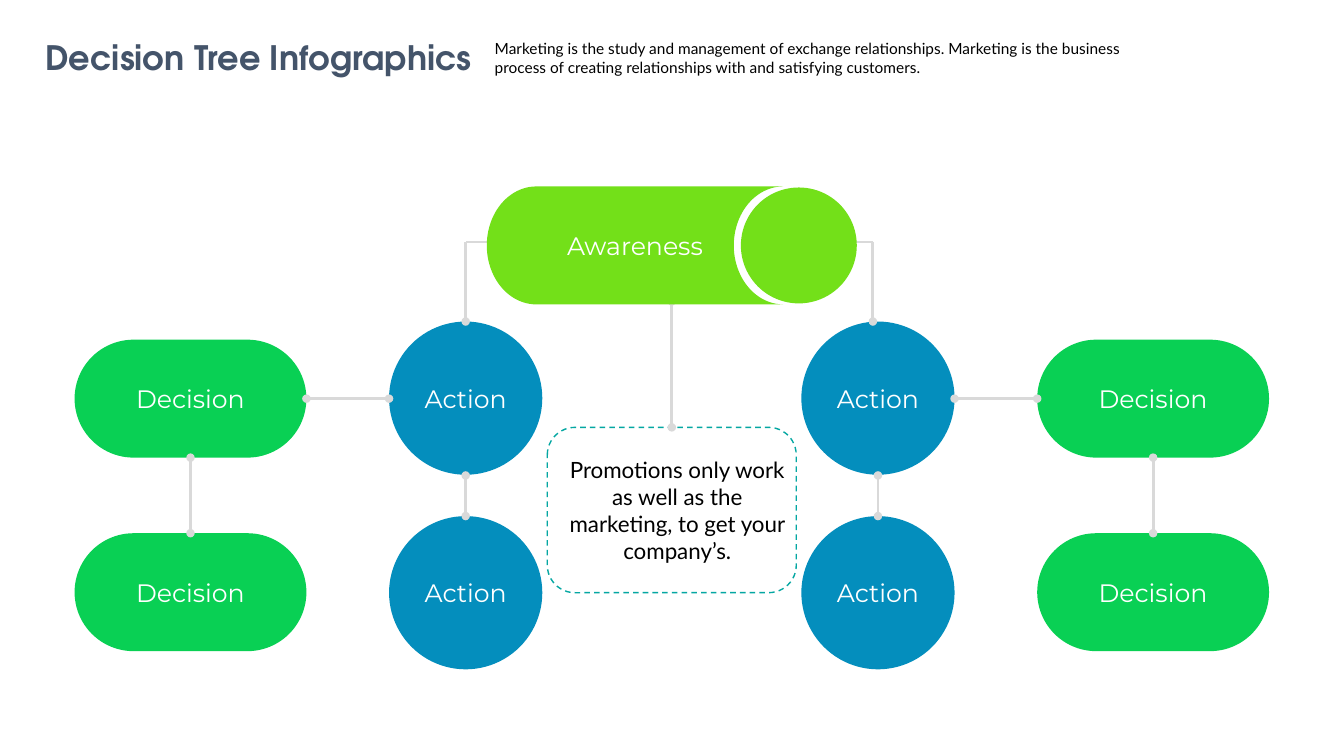
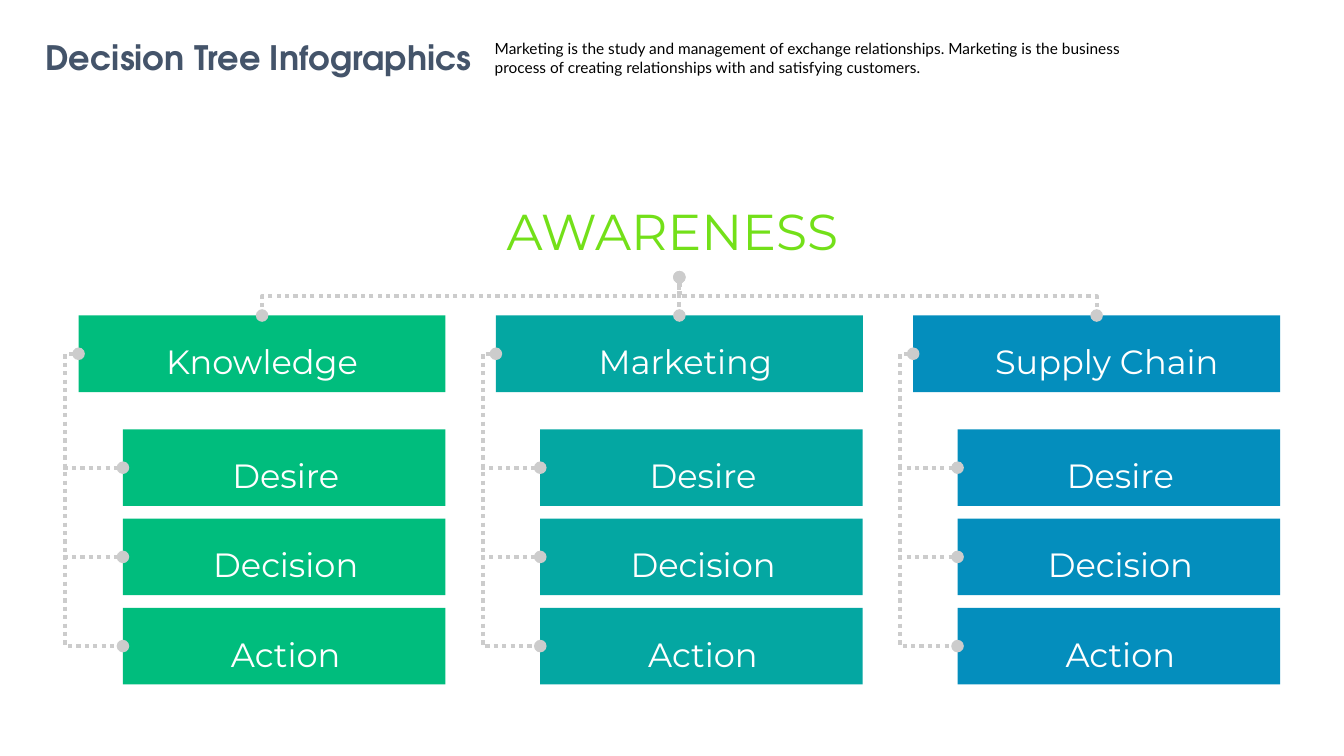
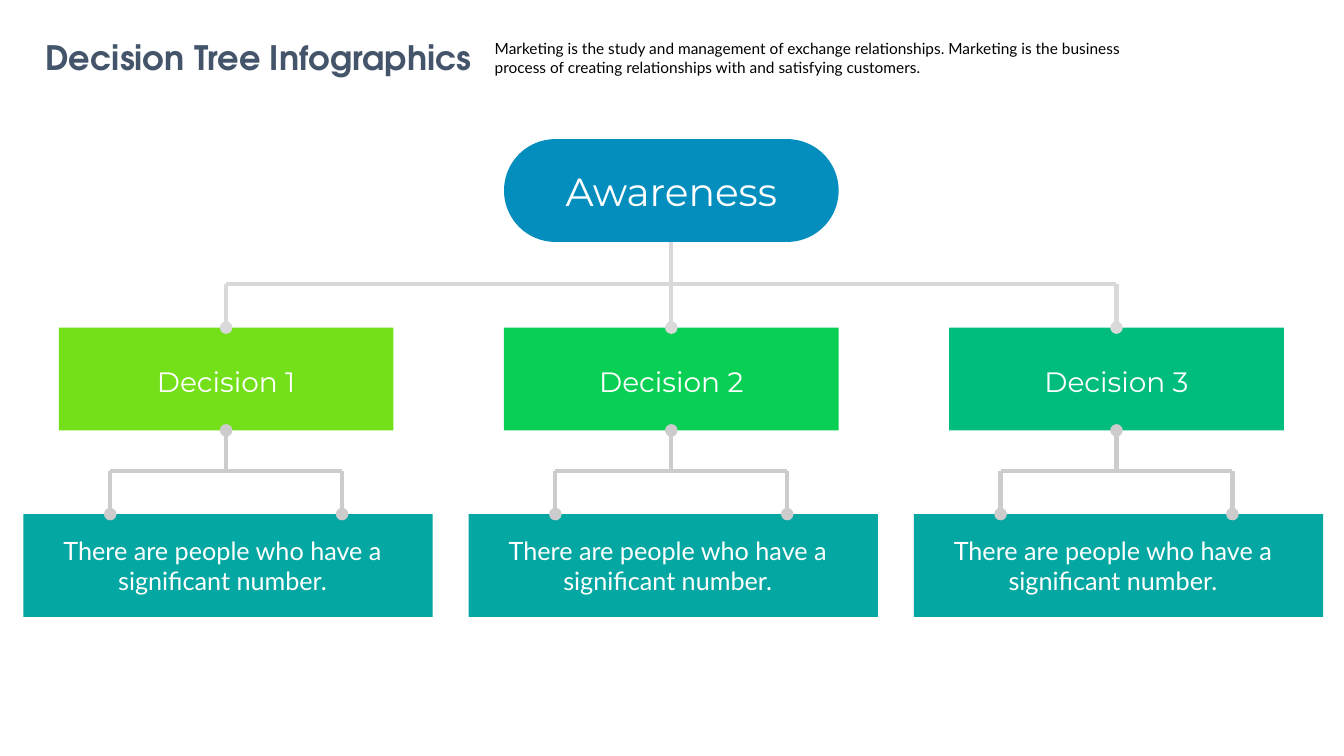
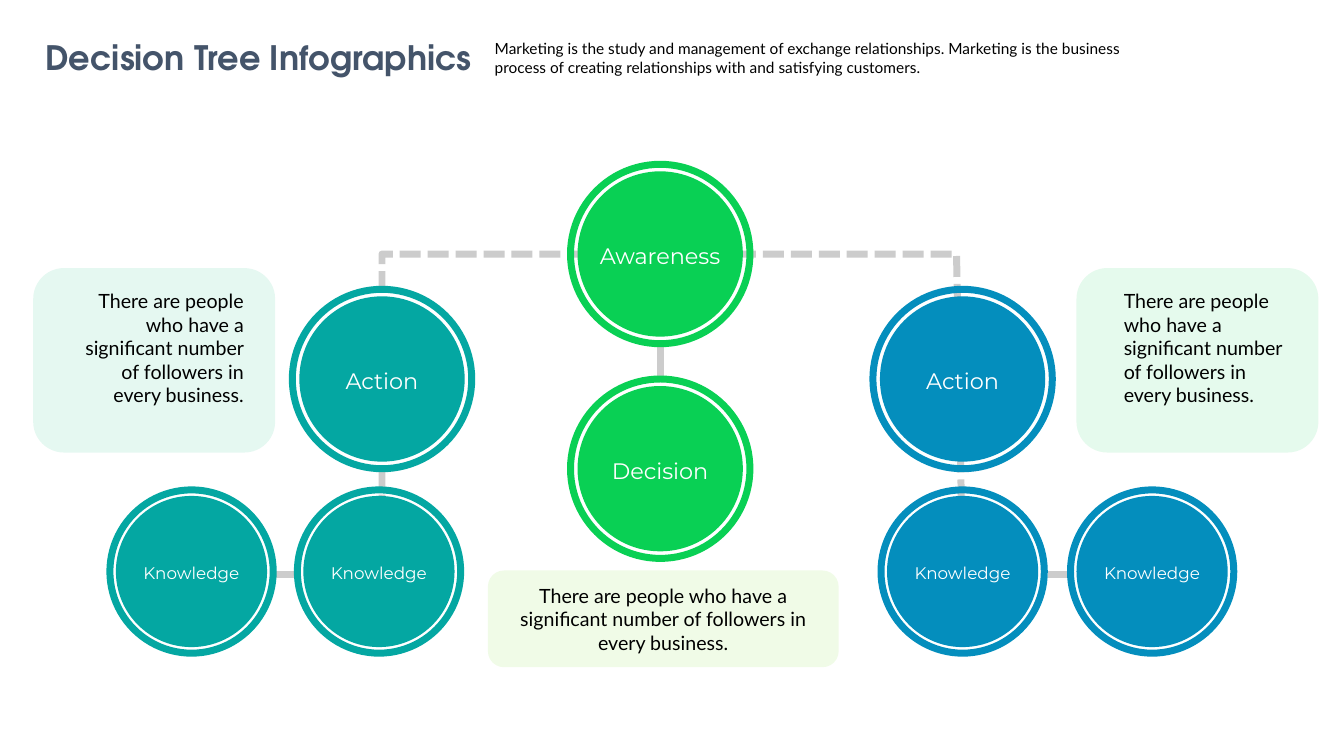
from dataclasses import dataclass

from pptx import Presentation
from pptx.dml.color import RGBColor
from pptx.enum.dml import MSO_LINE
from pptx.enum.shapes import MSO_CONNECTOR, MSO_SHAPE
from pptx.enum.text import MSO_ANCHOR, PP_ALIGN
from pptx.oxml.ns import qn
from pptx.util import Emu, Pt
from lxml.etree import SubElement

COLS, ROWS = 160, 90
CELL = 76200  # one grid cell, a twelfth of an inch
TOP, LEFT, BASE, RIGHT = range(4)  # sites on a rectangle

PILL, ROUND = MSO_SHAPE.ROUNDED_RECTANGLE, MSO_SHAPE.OVAL
RECT, STORE = MSO_SHAPE.RECTANGLE, MSO_SHAPE.FLOWCHART_STORED_DATA


@dataclass(frozen=True)
class Theme:
    navy: str = "44546A"
    black: str = "000000"
    white: str = "FFFFFF"
    lime: str = "73E019"
    green: str = "09D054"
    mint: str = "00BD7D"
    teal: str = "04A7A2"
    blue: str = "048EBD"
    pale: str = "D9D9D9"
    grey: str = "CCCCCC"
    head: str = "TeX Gyre Adventor"
    label: str = "Montserrat"
    body: str = "Lato"
    tiny: int = 11
    small: int = 12
    note: int = 14
    mid: int = 16
    base: int = 18
    large: int = 20
    big: int = 24
    huge: int = 28
    giant: int = 36


T = Theme()
TITLE = "Decision Tree Infographics"
INTRO = ("Marketing is the study and management of exchange relationships. "
         "Marketing is the business process of creating relationships with "
         "and satisfying customers.")
CROWD = "There are people who have a significant number"
FANS = CROWD + " of followers in every business."


def emu(cells):
    return Emu(round(cells * CELL))


def rgb(code):
    return RGBColor.from_string(code)


class Deck:
    def __init__(self):
        self.prs = Presentation()
        self.prs.slide_width = emu(COLS)
        self.prs.slide_height = emu(ROWS)
        self.shapes = None

    def start(self):
        """Add a blank slide with the shared title and intro."""
        slide = self.prs.slides.add_slide(self.prs.slide_layouts[6])
        self.shapes = slide.shapes
        self.text(3.84, 3.84, 53.88, 6, TITLE, T.big, T.navy, T.head,
                  wrap=False, bold=True)
        self.text(57.72, 4.08, 79.2, 5.64, INTRO, T.tiny, T.black, T.body,
                  align=PP_ALIGN.LEFT)

    def label(self, shape, words, size, color=T.white, font=T.label,
              align=PP_ALIGN.CENTER, anchor=MSO_ANCHOR.MIDDLE,
              pad=(0, 0, 0, 0), wrap=True, bold=False):
        frame = shape.text_frame
        frame.text = words
        frame.word_wrap = wrap
        frame.vertical_anchor = anchor
        (frame.margin_left, frame.margin_top,
         frame.margin_right, frame.margin_bottom) = map(emu, pad)
        for para in frame.paragraphs:
            para.alignment = align
            for run in para.runs:
                run.font.size = Pt(size)
                run.font.name = font
                run.font.bold = bold
                run.font.color.rgb = rgb(color)

    def text(self, x, y, w, h, words, size, color, font, **style):
        box = self.shapes.add_textbox(*map(emu, (x, y, w, h)))
        self.label(box, words, size, color, font, anchor=MSO_ANCHOR.TOP,
                   pad=(1.2, 0.6, 1.2, 0.6), **style)

    def stroke(self, line, color, width, dash=None):
        line.color.rgb = rgb(color)
        line.width = Pt(width)
        if dash:
            line.dash_style = dash

    def shape(self, kind, x, y, w, h, fill=None, alpha=None, curve=None):
        item = self.shapes.add_shape(kind, *map(emu, (x, y, w, h)))
        item.shadow.inherit = False
        item.line.fill.background()
        if curve is not None:
            item.adjustments[0] = curve
        if fill:
            item.fill.solid()
            item.fill.fore_color.rgb = rgb(fill)
        else:
            item.fill.background()
        if alpha:
            tint = next(item.element.spPr.iter(qn("a:srgbClr")))
            SubElement(tint, qn("a:alpha")).set("val", str(alpha * 1000))
        return item

    def node(self, kind, x, y, w, h, fill, words, size, curve=None, **style):
        """Draw a filled shape with a label in it."""
        item = self.shape(kind, x, y, w, h, fill, curve=curve)
        self.label(item, words, size, **style)
        return item

    def card(self, x, y, w, h, fill, words, **style):
        item = self.shape(PILL, x, y, w, h, fill, alpha=10)
        self.label(item, words, T.note, T.black, T.body, **style)

    def ring(self, x, y, color, words, size, outer, inner):
        """Draw a disc in a ring, both centred on x, y."""
        rim = self.shape(ROUND, x - outer / 2, y - outer / 2, outer, outer)
        self.stroke(rim.line, color, 5)
        self.node(ROUND, x - inner / 2, y - inner / 2, inner, inner, color,
                  words, size, wrap=False, pad=(0, 0.4, 0, 0))

    def finish(self, link, color, width, dash, dots):
        """Style a connector; dots name the ends that carry an oval."""
        self.stroke(link.line, color, width, dash)
        props = link.element.spPr
        edge = props.find(qn("a:ln"))
        for end in ("head", "tail"):
            if end in dots:
                SubElement(edge, qn(f"a:{end}End")).set("type", "oval")
        SubElement(props, qn("a:effectLst"))

    def line(self, start, end, color=T.grey, width=3, dash=None, dots=""):
        """Link two ends, each a point (x, y) or a (shape, site) pair."""
        free = [(0, 0) if hasattr(e[0], "shape_id") else e
                for e in (start, end)]
        link = self.shapes.add_connector(
            MSO_CONNECTOR.STRAIGHT, *map(emu, (*free[0], *free[1])))
        if free[0] != start:
            link.begin_connect(*start)
        if free[1] != end:
            link.end_connect(*end)
        self.finish(link, color, width, dash, dots)

    def elbow(self, start, end, dash, bend=0.5, down=False):
        """Link two points by a bent line; down leaves the start downwards."""
        (x1, y1), (x2, y2) = start, end
        if down:
            long, tall = abs(x2 - x1), y2 - y1
            x, y = (x1 + x2 - tall) / 2, (y1 + y2 - long) / 2
            ends = (x, y, x + tall, y + long)
        else:
            ends = (x1, y1, x2, y2)
        link = self.shapes.add_connector(MSO_CONNECTOR.ELBOW, *map(emu, ends))
        props = link.element.spPr
        if down:
            frame = props.find(qn("a:xfrm"))
            frame.set("rot", str((270 if x2 > x1 else 90) * 60000))
            if x2 > x1:
                frame.set("flipH", "1")
        guides = props.find(qn("a:prstGeom")).find(qn("a:avLst"))
        guide = SubElement(guides, qn("a:gd"))
        guide.set("name", "adj1")
        guide.set("fmla", f"val {round(bend * 100000)}")
        self.finish(link, T.grey, 3, dash, "head tail")

    def route(self, points, dash):
        """Draw an open line through the points."""
        first, *rest = [(emu(x), emu(y)) for x, y in points]
        trail = self.shapes.build_freeform(*first)
        trail.add_line_segments(rest, close=False)
        item = trail.convert_to_shape()
        item.shadow.inherit = False
        item.fill.background()
        self.stroke(item.line, T.grey, 5, dash)


def flow(deck):
    """Awareness over two mirrored sides of actions and decisions."""
    deck.start()
    pale = dict(color=T.pale, width=2)
    both = dict(pale, dots="head tail")
    disc, wide, tall = 18.24, 27.6, 14.04
    sides = ((8.88, RIGHT, 46.32, 0, 55.44, 71.04),
             (123.48, LEFT, 95.4, disc, 103.92, 88.32))
    for pill_x, site, disc_x, reach, turn, root in sides:
        pills = [deck.node(PILL, pill_x, y, wide, tall, T.green,
                           "Decision", T.base, curve=0.5)
                 for y in (40.44, 63.48)]
        for y in (38.28, 61.44):
            deck.node(ROUND, disc_x, y, disc, disc, T.blue, "Action", T.base,
                      wrap=False)
        deck.line((pills[0], site), (disc_x + reach, 47.46), **both)
        deck.line((pills[0], BASE), (pills[1], TOP), **both)
        mid = disc_x + disc / 2
        deck.line((mid, 56.6), (mid, 61.44), **both)
        deck.line((root, 28.8), (turn, 28.8), **pale)
        deck.line((turn, 28.8), (turn, 38.28), dots="tail", **pale)

    note = deck.shape(PILL, 65.16, 50.88, 29.64, 19.68)
    deck.stroke(note.line, T.teal, 1, MSO_LINE.DASH)
    deck.label(note, "Promotions only work as well as the marketing, "
               "to get your company’s.", T.mid, T.black, T.body,
               pad=(1.56, 0, 0.24, 0))
    deck.line((79.98, 35.88), (note, TOP), **both)
    deck.node(STORE, 57.96, 22.2, 35.28, 14.04, T.lime, "Awareness", T.base)
    deck.shape(ROUND, 88.2, 22.32, 13.8, 13.8, T.lime)


def lists(deck):
    """Awareness over three headed lists."""
    deck.start()
    dots = MSO_LINE.ROUND_DOT
    deck.text(59.04, 23.28, 42, 8.52, "AWARENESS", T.giant, T.lime, T.label)
    root = (80.88, 33)
    head_y, wide, tall = 37.56, 43.68, 9.12
    indent, gap = 5.28, 10.62
    heads = (("Knowledge", T.mint, 0), ("Marketing", T.teal, 1.44),
             ("Supply Chain", T.blue, 2.4))
    for i, (name, color, shift) in enumerate(heads):
        x = 9.36 + 49.68 * i
        head = deck.node(RECT, x, head_y, wide, tall, color, name, T.big,
                         pad=(shift, 1.8, 0, 0))
        if i == 1:
            deck.line(root, (head, TOP), dash=dots, dots="tail")
        else:
            deck.elbow(root, (x + wide / 2, head_y), dots, down=True)
        for j, step in enumerate(("Desire", "Decision", "Action")):
            y = 51.12 + gap * j
            item = deck.node(RECT, x + indent, y, wide - indent, tall,
                             color, step, T.big, pad=(0.36, 1.8, 0, 0))
            mid = y + tall / 2
            if step != "Action":
                deck.line((x - 1.8, mid), (item, LEFT), dash=dots,
                          dots="tail")
        deck.elbow((x, head_y + tall / 2), (x + indent, mid), dots, -0.3)


def tree(deck):
    """Awareness, three decisions and a bracketed note under each."""
    deck.start()
    wide, tall, pitch = 39.84, 12.24, 53
    bar, fork, note_y = 33.84, 56.04, 61.2
    root = deck.node(PILL, 60, 16.56, wide, tall, T.blue, "Awareness", T.huge,
                     curve=0.5)
    mids = [7 + wide / 2 + pitch * i for i in range(3)]
    deck.line((mids[0], bar), (mids[2], bar), T.pale)
    for i, (mid, color) in enumerate(zip(mids, (T.lime, T.green, T.mint))):
        item = deck.node(RECT, mid - wide / 2, 39, wide, tall, color,
                         f"Decision {i + 1}", T.large, pad=(0, 0.5, 0, 0))
        start = (root, BASE) if i == 1 else (mid, bar)
        deck.line(start, (item, TOP), T.pale, dots="tail")
        deck.node(RECT, 2.8 + pitch * i, note_y, 48.72, tall, T.teal,
                  CROWD + ".", T.base, font=T.body, pad=(3.48, 0, 4.8, 0))
        deck.line((item, BASE), (mid, fork), dots="head")
        ends = (mid - 13.8, mid + 13.8)
        deck.line((ends[0], fork), (ends[1], fork))
        for x in ends:
            deck.line((x, fork), (x, note_y), dots="tail")


def rings(deck):
    """Ringed discs joined by thick dashes, with three tinted cards."""
    deck.start()
    dash = MSO_LINE.SQUARE_DOT
    left, mid, right = 45.48, 78.6, 114.6
    top, low = 30.24, 68.04
    for x, color, align in ((3.96, T.mint, PP_ALIGN.RIGHT),
                            (128.16, T.green, PP_ALIGN.LEFT)):
        deck.card(x, 31.92, 28.8, 21.96, color, FANS, align=align,
                  anchor=MSO_ANCHOR.TOP, pad=(4.56, 1.44, 2.64, 0))
    deck.card(58.08, 67.92, 41.76, 11.52, T.lime, FANS,
              pad=(2.16, 0, 2.16, 0))

    deck.line((mid, 40.8), (mid, 45.12), width=5)
    deck.route(((left, low), (left, top), (113.88, top), (right, 67.32)),
               dash)
    for x in (35.4, 127.2):
        deck.line((x, 68.4), (x - 2.8, 68.4), width=5, dash=dash)

    for x, y, color, words in ((mid, top, T.green, "Awareness"),
                               (mid, 55.8, T.green, "Decision"),
                               (left, 45.12, T.teal, "Action"),
                               (right, 45.12, T.blue, "Action")):
        deck.ring(x, y, color, words, T.mid, 21.36, 19.68)
    for x, color in ((22.8, T.teal), (45.12, T.teal),
                     (right, T.blue), (137.16, T.blue)):
        deck.ring(x, low, color, "Knowledge", T.small, 19.44, 18)


def main():
    deck = Deck()
    for build in (flow, lists, tree, rings):
        build(deck)
    deck.prs.save("out.pptx")


if __name__ == "__main__":
    main()
